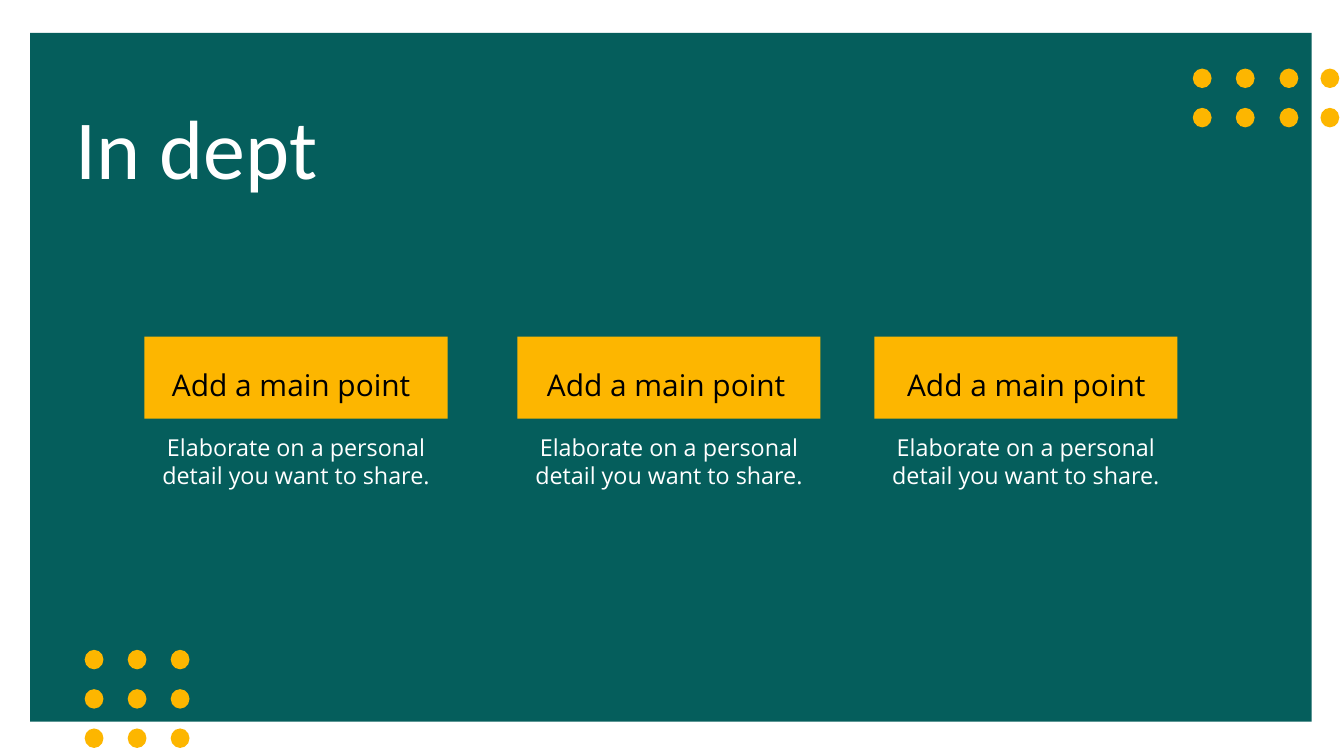
from dataclasses import dataclass

import pptx
import pptx.dml.color
import pptx.enum.shapes
import pptx.enum.text
import pptx.util
from pptx.util import Inches

TEAL = "055E5C"
AMBER = "FDB600"
WHITE = "FFFFFF"
BLACK = "000000"

CARD_WIDTH = 4.51
DOT_WIDTH, DOT_HEIGHT = 0.28, 0.29
DOT_ROW_PITCH = 0.585


@dataclass
class Card:
    left: float
    heading_left: float
    heading: str = "Add a main point"
    detail: str = "Elaborate on a personal detail you want to share."


@dataclass
class DotGrid:
    column_lefts: tuple[float, ...]
    top: float
    rows: int


@dataclass
class TextStyle:
    font: str
    size: float
    color: str
    centered: bool = True
    line_spacing: float = 1.0
    inset: float = 0
    middle: bool = False


TITLE = TextStyle("Calibri", 90, WHITE, centered=False, line_spacing=1.2)
HEADING = TextStyle("Open Sans", 32, BLACK, line_spacing=1.5, inset=0.28, middle=True)
DETAIL = TextStyle("Open Sans", 25, WHITE)

CARDS = [Card(2.15, 2.08), Card(7.7, 7.66), Card(13.01, 13.02)]
DOT_GRIDS = [
    DotGrid((1.26, 1.9, 2.54), 9.67, 3),
    DotGrid((17.75, 18.39, 19.04, 19.65), 1.02, 2),
]


def rgb(color: str) -> pptx.dml.color.RGBColor:
    return pptx.dml.color.RGBColor.from_string(color)


def add_filled_shape(slide, kind, left: float, top: float,
                     width: float, height: float, color: str) -> None:
    shape = slide.shapes.add_shape(
        kind, Inches(left), Inches(top), Inches(width), Inches(height))
    shape.shadow.inherit = False
    shape.fill.solid()
    shape.fill.fore_color.rgb = rgb(color)
    shape.line.fill.background()


def add_text(slide, text: str, left: float, top: float,
             width: float, height: float, style: TextStyle) -> None:
    box = slide.shapes.add_textbox(
        Inches(left), Inches(top), Inches(width), Inches(height))
    frame = box.text_frame
    frame.word_wrap = True
    frame.margin_left = frame.margin_right = Inches(style.inset)
    frame.margin_top = frame.margin_bottom = Inches(style.inset)
    anchors = pptx.enum.text.MSO_ANCHOR
    frame.vertical_anchor = anchors.MIDDLE if style.middle else anchors.TOP
    paragraph = frame.paragraphs[0]
    paragraph.text = text
    alignments = pptx.enum.text.PP_ALIGN
    paragraph.alignment = alignments.CENTER if style.centered else alignments.LEFT
    paragraph.line_spacing = style.line_spacing
    paragraph.font.name = style.font
    paragraph.font.size = pptx.util.Pt(style.size)
    paragraph.font.color.rgb = rgb(style.color)


def add_card(slide, card: Card) -> None:
    add_filled_shape(slide, pptx.enum.shapes.MSO_SHAPE.RECTANGLE,
                     card.left, 5.01, CARD_WIDTH, 1.22, AMBER)
    add_text(slide, card.heading, card.heading_left, 5.08, CARD_WIDTH, 1.02, HEADING)
    add_text(slide, card.detail, card.left, 6.45, CARD_WIDTH, 0.84, DETAIL)


def add_dot_grid(slide, grid: DotGrid) -> None:
    for row in range(grid.rows):
        for left in grid.column_lefts:
            add_filled_shape(slide, pptx.enum.shapes.MSO_SHAPE.OVAL, left,
                             grid.top + row * DOT_ROW_PITCH,
                             DOT_WIDTH, DOT_HEIGHT, AMBER)


def main() -> None:
    presentation = pptx.Presentation()
    presentation.slide_width = Inches(20)
    presentation.slide_height = Inches(11.25)
    slide = presentation.slides.add_slide(presentation.slide_layouts[6])

    # Background panel and title
    add_filled_shape(slide, pptx.enum.shapes.MSO_SHAPE.RECTANGLE,
                     0.45, 0.49, 19.07, 10.25, TEAL)
    add_text(slide, "In dept", 1.12, 1.12, 4.64, 1.5, TITLE)

    # Main points
    for card in CARDS:
        add_card(slide, card)

    # Decorative corner dots
    for grid in DOT_GRIDS:
        add_dot_grid(slide, grid)

    presentation.save("out.pptx")


if __name__ == "__main__":
    main()
